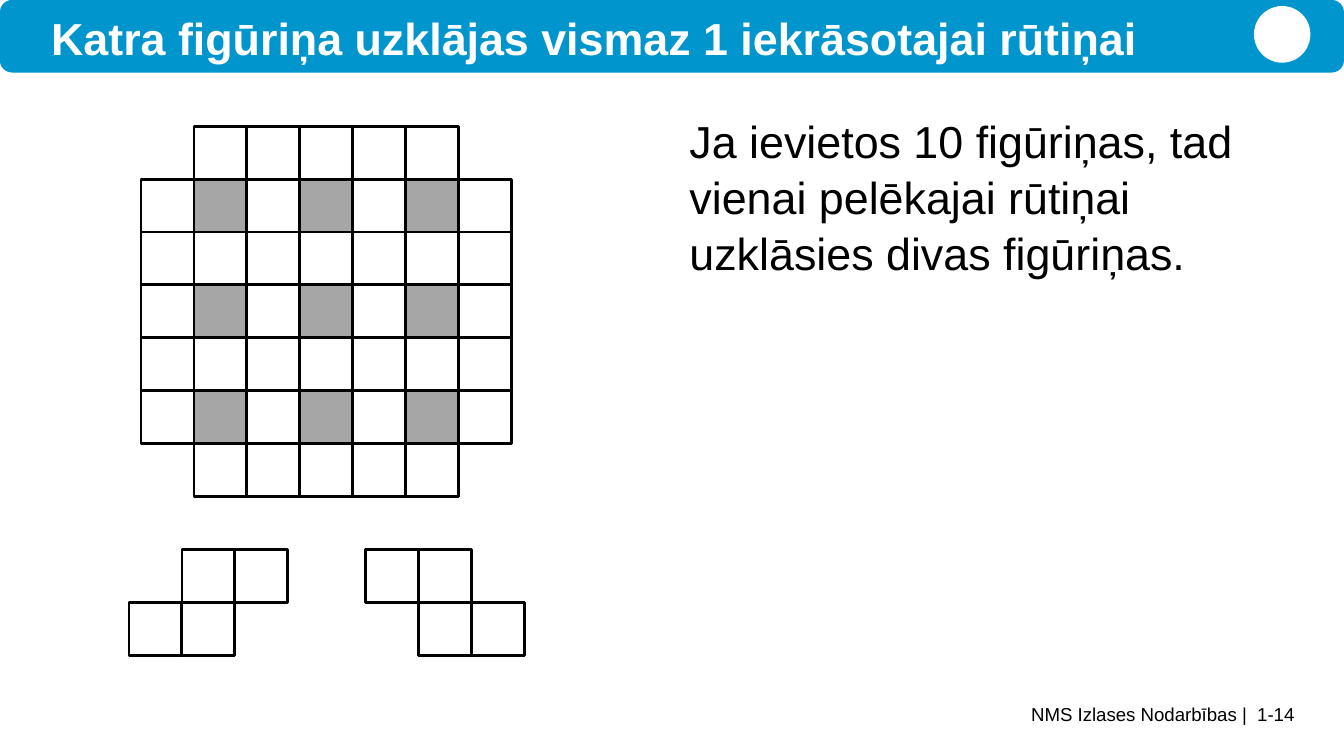
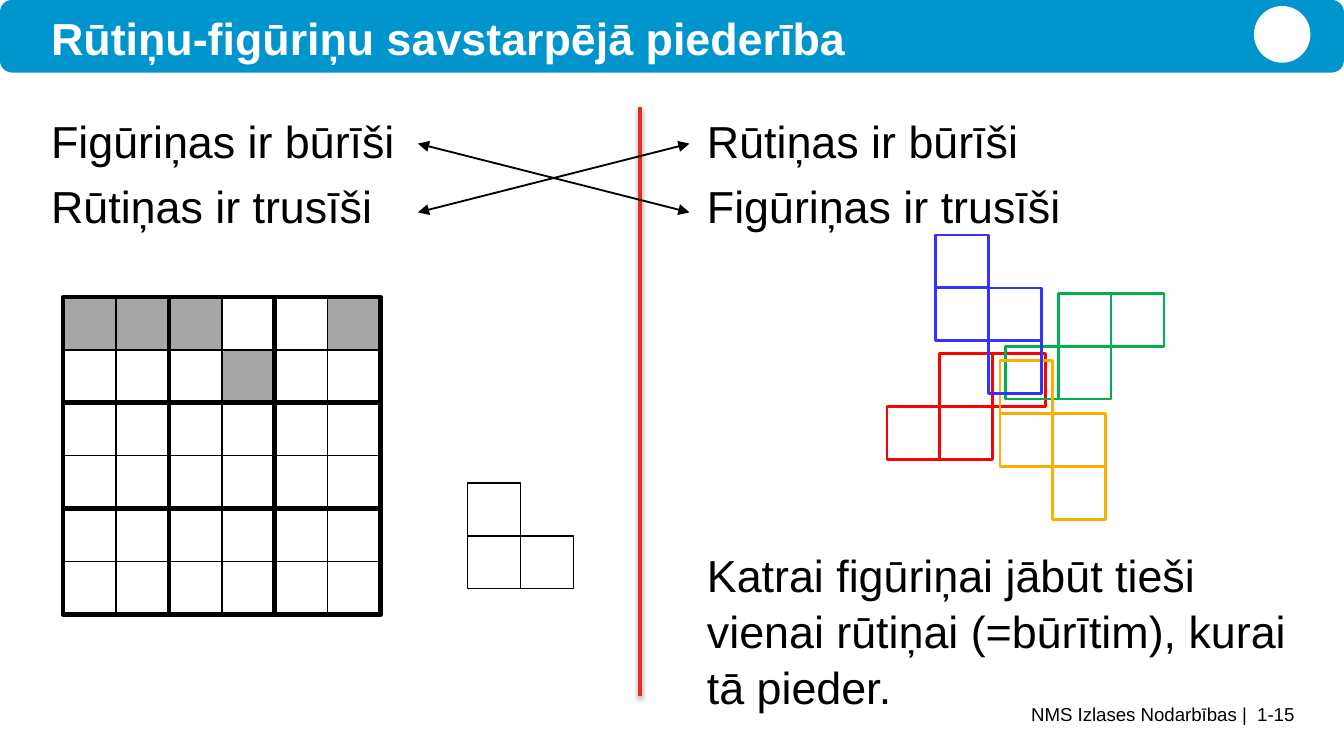
from dataclasses import dataclass

from lxml.etree import SubElement
from pptx import Presentation
from pptx.dml.color import RGBColor
from pptx.enum.shapes import MSO_CONNECTOR as Link, MSO_SHAPE as Shape
from pptx.enum.text import MSO_ANCHOR as Anchor, PP_ALIGN as Align
from pptx.oxml.ns import qn
from pptx.util import Inches, Pt


@dataclass(frozen=True)
class Theme:
    font: str = "Arial"
    text_size: int = 24
    footer_size: int = 10
    black: str = "000000"
    white: str = "FFFFFF"
    band: str = "0095CD"
    gray: str = "A6A6A6"
    divider: str = "E62D1E"
    red: str = "FF0000"
    green: str = "00B050"
    yellow: str = "FFAD00"
    blue: str = "3333FF"


theme = Theme()

# Grid: the slide has 100 columns and 100 rows; a board cell is 7 rows square
WIDTH, HEIGHT = Inches(10), Inches(5.625)
COL, ROW = WIDTH / 100, HEIGHT / 100
CELL = 7 * ROW


def write(box, texts, size=theme.text_size, color=theme.black, bold=False,
          align=Align.LEFT, anchor=Anchor.TOP, before=0, spacing=1.0):
    frame = box.text_frame
    frame.word_wrap = True
    frame.vertical_anchor = anchor
    frame.margin_left = frame.margin_right = frame.margin_top = frame.margin_bottom = 0
    for index, text in enumerate(texts):
        para = frame.add_paragraph() if index else frame.paragraphs[0]
        para.alignment = align
        para.space_before = Pt(before)
        para.line_spacing = spacing
        span = para.add_run()
        span.text = text
        span.font.name = theme.font
        span.font.size = Pt(size)
        span.font.bold = bold
        span.font.color.rgb = RGBColor.from_string(color)


def draw_cells(shapes, col, row, pattern, color=theme.black, weight=1.5, side=CELL):
    """Pattern marks: . nothing, o open cell, w white cell, # gray cell."""
    fills = {"w": theme.white, "#": theme.gray}
    for down, marks in enumerate(pattern):
        for across, mark in enumerate(marks):
            if mark == ".":
                continue
            cell = shapes.add_shape(
                Shape.RECTANGLE, round(col * COL + across * side),
                round(row * ROW + down * side), round(side), round(side))
            cell.shadow.inherit = False
            if mark in fills:
                cell.fill.solid()
                cell.fill.fore_color.rgb = RGBColor.from_string(fills[mark])
            else:
                cell.fill.background()
            cell.line.color.rgb = RGBColor.from_string(color)
            cell.line.width = Pt(weight)


deck = Presentation()
deck.slide_width, deck.slide_height = WIDTH, HEIGHT

# What both slides share: band, emblem, title, footer, body texts
contents = [
    ("Katra figūriņa uzklājas vismaz 1 iekrāsotajai rūtiņai", "1-14", [
        (51.3, 14.8, 44.9, 71.5,
         ["Ja ievietos 10 figūriņas, tad vienai pelēkajai rūtiņai "
          "uzklāsies divas figūriņas."]),
    ]),
    ("Rūtiņu-figūriņu savstarpējā piederība", "1-15", [
        (3.8, 14.8, 44.9, 20, ["Figūriņas ir būrīši", "Rūtiņas ir trusīši"]),
        (52.6, 14.8, 43.5, 20, ["Rūtiņas ir būrīši", "Figūriņas ir trusīši"]),
        (52.6, 72.2, 43.5, 20,
         ["Katrai figūriņai jābūt tieši vienai rūtiņai (=būrītim), "
          "kurai tā pieder."]),
    ]),
]
pages = []
for heading, number, bodies in contents:
    page = deck.slides.add_slide(deck.slide_layouts[5])
    pages.append(page)

    band = page.shapes.add_shape(Shape.ROUNDED_RECTANGLE, 0, 0, WIDTH, round(9.6 * ROW))
    emblem = page.shapes.add_shape(
        Shape.OVAL, round(93.3 * COL), round(0.8 * ROW), round(4.2 * COL), round(7.5 * ROW))
    for item, color in ((band, theme.band), (emblem, theme.white)):
        item.shadow.inherit = False
        item.fill.solid()
        item.fill.fore_color.rgb = RGBColor.from_string(color)
        item.line.fill.background()

    # The title lies in front of the band
    title = page.shapes.title
    band._element.addnext(title._element)
    title.left, title.top = round(3.8 * COL), round(1.2 * ROW)
    title.width, title.height = round(83.3 * COL), round(7.5 * ROW)
    write(title, [heading], color=theme.white, bold=True, anchor=Anchor.MIDDLE)

    footer = page.shapes.add_textbox(
        round(24.1 * COL), round(93 * ROW), round(72.2 * COL), round(5.9 * ROW))
    write(footer, [f"NMS Izlases Nodarbības |\u00a0 {number}".replace("\u00a0", " ")],
          size=theme.footer_size, align=Align.RIGHT)

    for col, row, width, height, texts in bodies:
        body = page.shapes.add_textbox(
            round(col * COL), round(row * ROW), round(width * COL), round(height * ROW))
        write(body, texts, before=4.8, spacing=1.04)

first, second = pages

# Slide 1: board without corners and the two pieces
spotted, plain, edge = "o#o#o#o", "ooooooo", ".ooooo."
draw_cells(first.shapes, 10.5, 16.7,
           [edge, spotted, plain, spotted, plain, spotted, edge])
draw_cells(first.shapes, 9.6, 72.7, [".oo", "ow."])
draw_cells(first.shapes, 27.2, 72.7, ["oo.", ".wo"])

# Slide 2: divider and crossing arrows
for start_col, start_row, end_col, end_row, color, weight in (
        (47.6, 14.2, 47.6, 92.1, theme.divider, 2),
        (31.1, 28.1, 51.3, 19, theme.black, 1),
        (31.1, 19, 51.3, 28.1, theme.black, 1)):
    line = second.shapes.add_connector(
        Link.STRAIGHT, round(start_col * COL), round(start_row * ROW),
        round(end_col * COL), round(end_row * ROW))
    line.line.color.rgb = RGBColor.from_string(color)
    line.line.width = Pt(weight)
    effects = SubElement(line._element.spPr, qn("a:effectLst"))
    if color == theme.divider:
        shadow = SubElement(effects, qn("a:outerShdw"), blurRad=str(Pt(3.1)),
                            dist=str(Pt(1.6)), dir="5400000", rotWithShape="0")
        tint = SubElement(shadow, qn("a:srgbClr"), val=theme.black)
        SubElement(tint, qn("a:alpha"), val="38000")
    else:
        for end in ("a:headEnd", "a:tailEnd"):
            SubElement(line.get_or_add_ln(), qn(end), type="triangle")

# Slide 2: board, its 2 by 2 blocks, and the corner piece
draw_cells(second.shapes, 4.7, 39.3,
           ["###oo#", "ooo#oo"] + ["oooooo"] * 4, weight=0.75)
draw_cells(second.shapes, 4.7, 39.3, ["ooo"] * 3, weight=2.5, side=2 * CELL)
draw_cells(second.shapes, 34.8, 63.9, ["o.", "oo"], weight=0.75)

# Slide 2: four overlapping pieces, each a group
for col, row, pattern, color in (
        (66, 46.8, [".oo", "ow."], theme.red),
        (74.8, 38.8, [".oo", "ow."], theme.green),
        (74.4, 47.7, ["o.", "wo", ".o"], theme.yellow),
        (69.6, 31.1, ["o.", "ow", ".o"], theme.blue)):
    piece = second.shapes.add_group_shape()
    draw_cells(piece.shapes, col, row, pattern, color)

deck.save("out.pptx")
